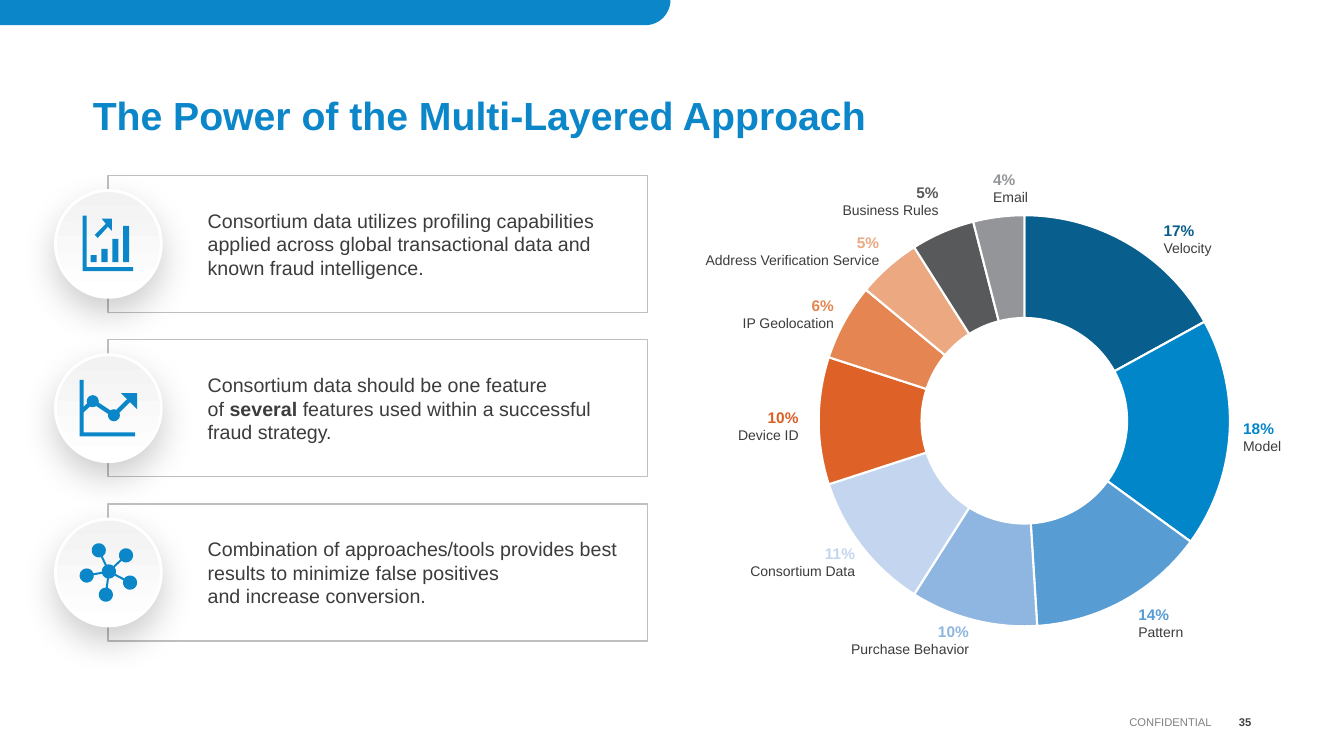
from copy import deepcopy
from dataclasses import dataclass
from math import atan2, cos, pi, sin

from lxml import etree
from pptx import Presentation
from pptx.chart.data import CategoryChartData
from pptx.dml.color import RGBColor
from pptx.enum.chart import XL_CHART_TYPE as ChartType
from pptx.enum.shapes import MSO_CONNECTOR as Connector, MSO_SHAPE as Preset
from pptx.enum.text import MSO_ANCHOR as Anchor, PP_ALIGN as Align
from pptx.oxml import parse_xml
from pptx.oxml.ns import nsdecls, qn
from pptx.util import Inches, Pt

FONT = "Arial"
COLOURS = {
    "brand": "0A86C9", "text": "3C3C3C", "border": "BFBFBF", "white": "FFFFFF",
    "badge": "F2F2F2", "page": "404040", "footer": "808080", "device label": "DB6026",
    "Velocity": "085E8C", "Model": "0086C9", "Pattern": "589CD4",
    "Purchase Behavior": "8EB6E1", "Consortium Data": "C4D6EF",
    "Device ID": "DE6128", "IP Geolocation": "E58551",
    "Address Verification Service": "ECA981", "Business Rules": "58595B",
    "Email": "939598",
}
Point = tuple[float, float]


@dataclass
class Span:
    text: str
    size: float
    colour: str = "text"
    bold: bool = False


@dataclass
class Icon:
    polygons: list[list[Point]]
    strokes: list[tuple[Point, Point]]
    dots: list[Point]


@dataclass
class Message:
    spans: list[Span]
    icon: Icon


@dataclass
class Layer:
    name: str
    share: int
    left: float
    top: float
    width: float
    align: Align = Align.RIGHT
    label_colour: str = ""


def rgb(colour: str) -> RGBColor:
    return RGBColor.from_string(COLOURS[colour])


def write(frame, spans: list[Span], align=Align.LEFT, anchor=Anchor.TOP) -> None:
    frame.word_wrap = True
    frame.vertical_anchor = anchor
    frame.margin_left = frame.margin_top = frame.margin_right = frame.margin_bottom = 0
    paragraph = frame.paragraphs[0]
    paragraph.alignment = align
    for span in spans:
        done = len(paragraph.runs)
        if done:
            paragraph.add_run().text = span.text
        else:
            paragraph.text = span.text
        for run in paragraph.runs[done:]:
            run.font.name, run.font.size, run.font.bold = FONT, Pt(span.size), span.bold
            run.font.color.rgb = rgb(span.colour)
    # Line breaks take the size of the text before them
    for line_break in paragraph._p.findall(qn("a:br")):
        line_break.append(deepcopy(paragraph.runs[0]._r.rPr))


def add_text(shapes, left: float, top: float, width: float, height: float,
             spans: list[Span], align=Align.LEFT, anchor=Anchor.TOP) -> None:
    box = shapes.add_textbox(Inches(left), Inches(top), Inches(width), Inches(height))
    write(box.text_frame, spans, align, anchor)


def add_preset(shapes, preset: Preset, left: float, top: float, width: float,
               height: float, fill: str, line: str = "", weight: float = 1):
    shape = shapes.add_shape(preset, Inches(left), Inches(top), Inches(width), Inches(height))
    shape.shadow.inherit = False
    shape.fill.solid()
    shape.fill.fore_color.rgb = rgb(fill)
    if line:
        shape.line.color.rgb = rgb(line)
        shape.line.width = Pt(weight)
    else:
        shape.line.fill.background()
    return shape


def add_outline(shapes, polygons: list[list[Point]]) -> None:
    contours = [[(Inches(x), Inches(y)) for x, y in polygon] for polygon in polygons]
    builder = shapes.build_freeform(*contours[0][0])
    for contour in contours:
        if contour is not contours[0]:
            builder.move_to(*contour[0])
        builder.add_line_segments(contour[1:], close=True)
    outline = builder.convert_to_shape()
    outline.shadow.inherit = False
    outline.fill.solid()
    outline.fill.fore_color.rgb = rgb("brand")
    outline.line.fill.background()


def add_badge(shapes, top: float, icon: Icon) -> None:
    group = shapes.add_group_shape().shapes
    disc = add_preset(group, Preset.OVAL, 0.55, top, 1.05, 1.06, "white", "white", 2)
    disc.fill.gradient()
    disc.fill.gradient_angle = 90
    for stop, colour in zip(disc.fill.gradient_stops, ("white", "badge")):
        stop.color.rgb = rgb(colour)
    disc._element.spPr.find(qn("a:effectLst")).append(parse_xml(
        f'<a:outerShdw {nsdecls("a")} blurRad="{Pt(25)}" dist="{Pt(10)}" dir="5400000" '
        'algn="t" rotWithShape="0"><a:srgbClr val="000000"><a:alpha val="20000"/>'
        '</a:srgbClr></a:outerShdw>'))
    add_outline(group, icon.polygons)
    for start, end in icon.strokes:
        stroke = group.add_connector(Connector.STRAIGHT, *map(Inches, start + end))
        stroke.line.color.rgb = rgb("brand")
        stroke.line.width = Pt(3)
        etree.SubElement(stroke._element.spPr, qn("a:effectLst"))
    for x, y in icon.dots:
        add_preset(group, Preset.OVAL, x - 0.06, y - 0.06, 0.12, 0.12, "brand")


def add_doughnut(shapes, layers: list[Layer]) -> None:
    data = CategoryChartData()
    data.categories = [layer.name for layer in layers]
    data.add_series("Series 1", [layer.share for layer in layers])
    data.add_series("Series 2", [None] * len(layers))  # empty outer ring
    chart = shapes.add_chart(ChartType.DOUGHNUT, Inches(6.95), Inches(0.85),
                             Inches(6.42), Inches(6.65), data).chart
    chart.has_legend = chart.has_title = False
    chart.font.name, chart.font.size = FONT, Pt(10)
    chart.font.color.rgb = rgb("text")
    plot = chart.plots[0]
    plot.vary_by_categories = True
    for index, layer in enumerate(layers):
        wedge = plot.series[0].points[index].format
        wedge.fill.solid()
        wedge.fill.fore_color.rgb = rgb(layer.name)
        wedge.line.color.rgb = rgb("white")
        wedge.line.width = Pt(1.5)
    # Hole size and plot area
    chart._chartSpace.find(f".//{qn('c:holeSize')}").set("val", "33")
    area = chart._chartSpace.chart.plotArea
    for layout in area.findall(qn("c:layout")):
        area.remove(layout)
    extent = "".join(f'<c:{key} val="{value}"/>' for key, value in
                     {"x": 0.02, "y": 0.04, "w": 0.96, "h": 0.92}.items())
    area.insert(0, parse_xml(
        f'<c:layout {nsdecls("c")}><c:manualLayout><c:layoutTarget val="inner"/>'
        f'<c:xMode val="edge"/><c:yMode val="edge"/>{extent}</c:manualLayout></c:layout>'))


def arc(centre: Point, radius: float, start: float, end: float, steps: int) -> list[Point]:
    angles = [start + (end - start) * i / steps for i in range(steps + 1)]
    return [(centre[0] + radius * cos(a), centre[1] + radius * sin(a)) for a in angles]


def bar(left: float, top: float) -> list[Point]:
    return [(left, top), (left + 0.06, top), (left + 0.06, 2.6), (left, 2.6)]


def axes(left: float, top: float, right: float, bottom: float) -> list[Point]:
    return [(left, top), (left + 0.04, top), (left + 0.04, bottom - 0.04),
            (right, bottom - 0.04), (right, bottom), (left, bottom)]


def network(hub: Point, nodes: list[Point], radius: float, link: float) -> list[Point]:
    """One outline round the hub, out along each link and round its node."""
    half = link / 2 / radius
    spokes = sorted((atan2(y - hub[1], x - hub[0]), (x, y)) for x, y in nodes)
    following = [angle for angle, _ in spokes[1:]] + [spokes[0][0] + 2 * pi]
    outline = []
    for (angle, node), next_angle in zip(spokes, following):
        outline += arc(node, radius, angle + pi + half, angle + 3 * pi - half, 24)
        outline += arc(hub, radius, angle + half, next_angle - half, 6)
    return outline


# Icons
RISING_ARROW = [(0.97, 2.36), (1.07, 2.25), (1.11, 2.29), (1.11, 2.17),
                (1.01, 2.17), (1.05, 2.22), (0.94, 2.33)]
BARS = [bar(0.9 + 0.107 * i, top) for i, top in enumerate((2.53, 2.47, 2.37, 2.24))]
TREND = [(0.81, 4.08), (0.92, 3.98), (1.13, 4.12), (1.3, 3.95)]
NODES = [(0.98, 5.46), (1.25, 5.51), (1.29, 5.78), (1.05, 5.9), (0.86, 5.71)]
bar_icon = Icon([axes(0.82, 2.14, 1.32, 2.69), *BARS, RISING_ARROW], [], [])
trend_icon = Icon([axes(0.79, 3.77, 1.34, 4.33), [(1.2, 3.9), (1.36, 3.9), (1.36, 4.06)]],
                  list(zip(TREND, TREND[1:])), TREND[1:3])
network_icon = Icon([network((1.08, 5.67), NODES, 0.07, 0.02)], [], [])

MESSAGES = [
    Message([Span("Consortium data utilizes profiling capabilities applied across global "
                  "transactional data and known fraud intelligence.", 14)], bar_icon),
    Message([Span("Consortium data should be one feature \nof ", 14),
             Span("several ", 14, bold=True),
             Span("features used within a successful fraud strategy.", 14)], trend_icon),
    Message([Span("Combination of approaches/tools provides best results to minimize false "
                  "positives \nand increase conversion.", 14)], network_icon),
]
LAYERS = [
    Layer("Velocity", 17, 11.54, 2.19, 0.77, Align.LEFT),
    Layer("Model", 18, 12.33, 4.16, 0.77, Align.LEFT),
    Layer("Pattern", 14, 11.29, 6, 0.77, Align.LEFT),
    Layer("Purchase Behavior", 10, 8.2, 6.17, 1.41),
    Layer("Consortium Data", 11, 7.3, 5.4, 1.18),
    Layer("Device ID", 10, 6.74, 4.05, 1.18, label_colour="device label"),
    Layer("IP Geolocation", 6, 7.09, 2.94, 1.18),
    Layer("Address Verification Service", 5, 6.77, 2.31, 1.95),
    Layer("Business Rules", 5, 8.13, 1.82, 1.18),
    Layer("Email", 4, 9.85, 1.69, 1.18, Align.LEFT),
]


def main() -> None:
    deck = Presentation()
    deck.slide_width, deck.slide_height = Inches(13.33), Inches(7.5)
    slide = deck.slides.add_slide(deck.slide_layouts[5])
    shapes = slide.shapes
    # Banner with a rounded lower right corner
    add_outline(shapes, [[(0, 0), *arc((6.4, 0), 0.25, 0, pi / 2, 12), (0, 0.25)]])
    # Title
    title = shapes.title
    title.left, title.top, title.width, title.height = map(Inches, (0.92, 0.79, 11.5, 0.59))
    write(title.text_frame, [Span("The Power of the Multi-Layered Approach", 28, "brand", True)],
          anchor=Anchor.BOTTOM)
    title.text_frame.paragraphs[0].line_spacing = 0.9
    # Messages with badges
    for row, message in enumerate(MESSAGES):
        top = 1.74 + 1.63 * row
        add_preset(shapes, Preset.RECTANGLE, 1.07, top, 5.35, 1.36, "white", "border")
        add_text(shapes, 2.06, top + 0.33, 4.12, 0.71, message.spans)
        add_badge(shapes, top + 0.15, message.icon)
    # Doughnut and its labels
    add_doughnut(shapes, LAYERS)
    for layer in LAYERS:
        share = Span(f"{layer.share}%\n", 11, layer.label_colour or layer.name, True)
        add_text(shapes, layer.left, layer.top, layer.width, 0.36,
                 [share, Span(layer.name, 10)], layer.align)
    # Footer
    for left, width, text, colour, bold in ((4.78, 7.24, "CONFIDENTIAL", "footer", False),
                                            (12.02, 0.39, "35", "page", True)):
        add_text(shapes, left, 7.06, width, 0.2, [Span(text, 8, colour, bold)],
                 Align.RIGHT, Anchor.MIDDLE)
    deck.save("out.pptx")


if __name__ == "__main__":
    main()
